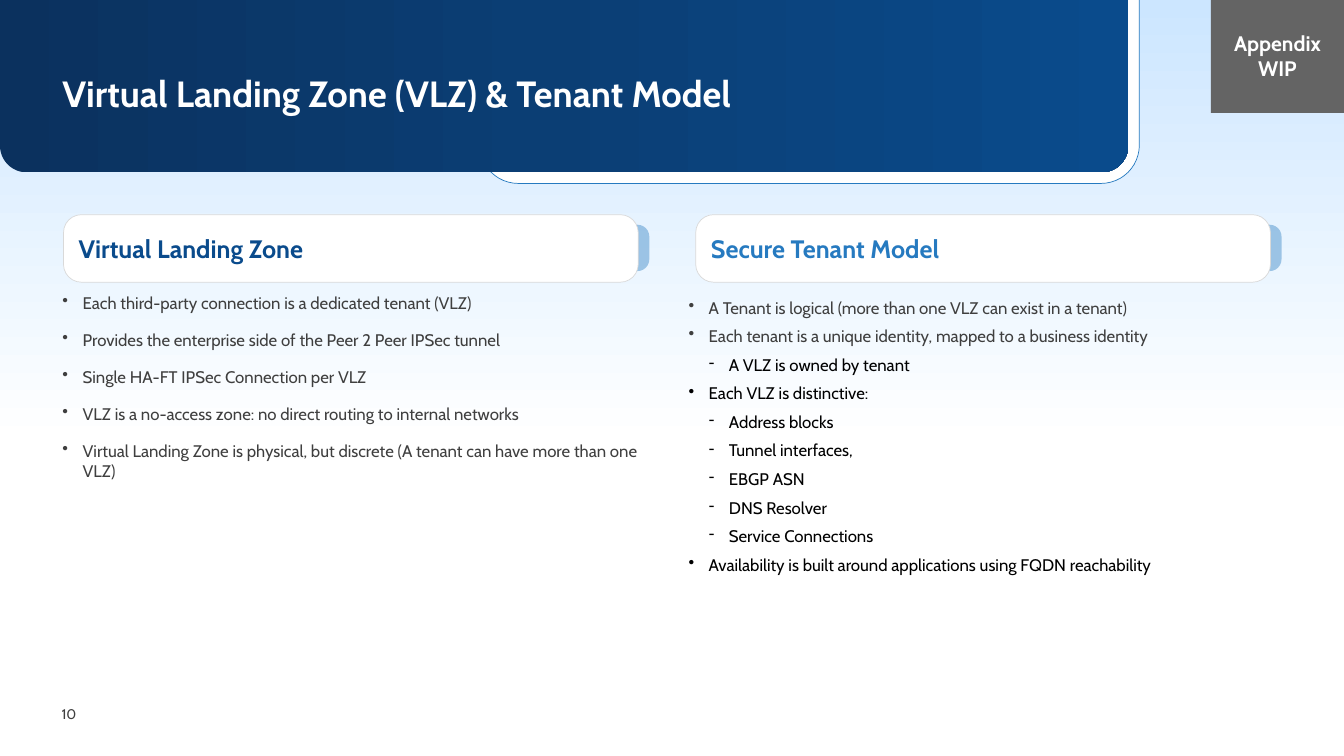
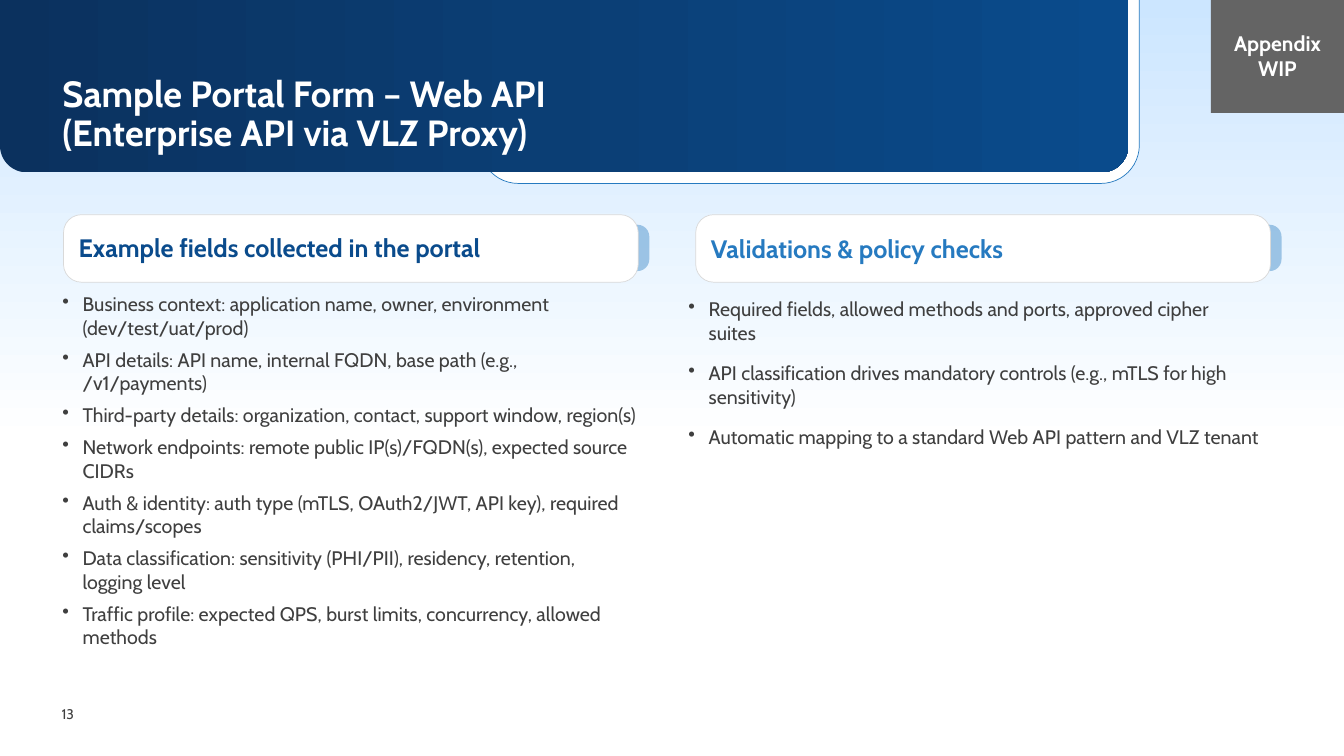
from copy import deepcopy
from dataclasses import dataclass

from lxml.etree import SubElement
from pptx import Presentation
from pptx.dml.color import RGBColor
from pptx.enum.shapes import MSO_SHAPE
from pptx.enum.text import MSO_ANCHOR, PP_ALIGN
from pptx.oxml.ns import qn
from pptx.util import Inches, Pt

SLIDE_WIDTH, SLIDE_HEIGHT = Inches(13.33), Inches(7.5)
FONT = "Cabin"
COLOURS = {
    "white": "FFFFFF", "black": "000000", "body": "3F3F3F", "sky": "CCE6FF",
    "navy": "0B315E", "marine": "0B3E74", "royal": "0A4B8C", "azure": "267AC0",
    "border": "D9D9D9", "badge": "646464",
}
MARGIN = 4.65
PANEL_LEFT, PANEL_PITCH, PANEL_WIDTH = 4.73, 47.04, 42.76
TAB_OFFSET = 35.85
BODY_TOP, BODY_HEIGHT = 38.67, 45.2
RIGHT_BODY_LEFT = 50.49
NO_INSETS, BODY_INSETS = (0, 0), (0.1, 0.05)


@dataclass
class Bullet:
    """One list entry with its nesting level and colour name."""
    text: str
    level: int = 0
    colour: str = "body"


def rgb(name):
    """Look up a named colour."""
    return RGBColor.from_string(COLOURS[name])


def area(left, top, width, height):
    """Turn percentages of the slide into lengths."""
    return (int(SLIDE_WIDTH * left / 100), int(SLIDE_HEIGHT * top / 100),
            int(SLIDE_WIDTH * width / 100), int(SLIDE_HEIGHT * height / 100))


def fill_gradient(shape, stops, angle):
    """Fill a shape with a linear gradient of (position, colour) stops."""
    fill = shape.fill
    fill.gradient()
    fill.gradient_angle = angle
    stop_list = shape._element.spPr.find(f".//{qn('a:gsLst')}")
    while len(stop_list) < len(stops):
        stop_list.append(deepcopy(stop_list[-1]))
    for gradient_stop, (position, colour) in zip(fill.gradient_stops, stops):
        gradient_stop.position = position
        gradient_stop.color.rgb = rgb(colour)


def add_block(slide, kind, bounds, fill=None, line=None, adjustments=(), opacity=None):
    """Add a flat preset shape, with an optional hairline and opacity."""
    shape = slide.shapes.add_shape(kind, *area(*bounds))
    shape.shadow.inherit = False
    for index, value in enumerate(adjustments):
        shape.adjustments[index] = value
    if fill:
        shape.fill.solid()
        shape.fill.fore_color.rgb = rgb(fill)
    if opacity:
        colour_element = shape._element.spPr.find(f".//{qn('a:srgbClr')}")
        SubElement(colour_element, qn("a:alpha"), val=str(opacity * 1000))
    if line:
        shape.line.color.rgb = rgb(line)
        shape.line.width = Pt(0.5)
    else:
        shape.line.fill.background()
    return shape


def set_frame(shape, insets, anchor=MSO_ANCHOR.TOP):
    """Wrap the text of a shape within horizontal and vertical insets."""
    frame = shape.text_frame
    frame.word_wrap = True
    frame.vertical_anchor = anchor
    frame.margin_left = frame.margin_right = Inches(insets[0])
    frame.margin_top = frame.margin_bottom = Inches(insets[1])
    return frame


def style(paragraph, size, colour, bold=False, alignment=PP_ALIGN.LEFT):
    """Set the font and alignment of a paragraph."""
    paragraph.alignment = alignment
    font = paragraph.font
    font.name, font.size, font.bold = FONT, Pt(size), bold
    font.color.rgb = rgb(colour)


def add_text(slide, bounds, text, size, colour, insets=NO_INSETS,
             anchor=MSO_ANCHOR.TOP, bold=False):
    """Add a one-paragraph text box and return its paragraph."""
    frame = set_frame(slide.shapes.add_textbox(*area(*bounds)), insets, anchor)
    paragraph = frame.paragraphs[0]
    paragraph.text = text
    style(paragraph, size, colour, bold)
    return paragraph


def add_bullets(slide, left, width, bullets, size, insets, space_after=0):
    """Add a bulleted list below a panel heading."""
    textbox = slide.shapes.add_textbox(*area(left, BODY_TOP, width, BODY_HEIGHT))
    frame = set_frame(textbox, insets)
    for index, bullet in enumerate(bullets):
        paragraph = frame.add_paragraph() if index else frame.paragraphs[0]
        paragraph.text = bullet.text
        properties = paragraph._p.get_or_add_pPr()
        properties.set("marL", str(Inches(0.2 * (bullet.level + 1))))
        properties.set("indent", str(Inches(-0.2)))
        SubElement(properties, qn("a:buChar"), char="•‐"[bullet.level])
        paragraph.space_before = Pt(6 if index else 0)
        paragraph.space_after = Pt(space_after)
        style(paragraph, size, bullet.colour)


def add_panel(slide, column, heading, colour, line_spacing=None):
    """Add a white heading panel with a tab showing behind its right end."""
    left = PANEL_LEFT + column * PANEL_PITCH
    add_block(slide, MSO_SHAPE.ROUNDED_RECTANGLE, (left + TAB_OFFSET, 29.73, 7.73, 6.13),
              "azure", adjustments=[0.254], opacity=40)
    panel = add_block(slide, MSO_SHAPE.ROUNDED_RECTANGLE, (left, 28.4, PANEL_WIDTH, 8.93),
                      "white", "border", [0.265])
    paragraph = set_frame(panel, (0.1, 0.2), MSO_ANCHOR.MIDDLE).paragraphs[0]
    paragraph.text = heading
    paragraph.line_spacing = line_spacing
    paragraph.space_after = Pt(6)
    style(paragraph, 18, colour, bold=True)


def add_badge(slide):
    """Add the grey status badge in the top right corner."""
    badge = add_block(slide, MSO_SHAPE.RECTANGLE, (90.1, -0.27, 9.9, 15.2), "badge")
    paragraph = set_frame(badge, BODY_INSETS, MSO_ANCHOR.MIDDLE).paragraphs[0]
    paragraph.text = "Appendix WIP"
    style(paragraph, 15, "white", bold=True, alignment=PP_ALIGN.CENTER)


def add_base_slide(presentation, title, number):
    """Add a slide with the shared backdrop, title banner, badge and number."""
    slide = presentation.slides.add_slide(presentation.slide_layouts[6])
    backdrop = add_block(slide, MSO_SHAPE.RECTANGLE, (0, 0, 100, 58.67))
    fill_gradient(backdrop, [(0, "sky"), (1, "white")], 270)
    add_text(slide, (4.58, 92.8, 2.93, 3.33), str(number), 10, "body",
             (0, 0.05), MSO_ANCHOR.MIDDLE)
    add_block(slide, MSO_SHAPE.ROUND_2_SAME_RECTANGLE, (35.71, -0.53, 49.06, 24.8),
              "white", "azure", [0, 0.204])
    banner = add_block(slide, MSO_SHAPE.ROUND_2_SAME_RECTANGLE, (0, 0, 83.95, 22.8),
                       adjustments=[0, 0.155])
    fill_gradient(banner, [(0, "navy"), (0.48, "marine"), (1, "royal")], 0)
    heading = add_text(slide, (MARGIN, 10, 79.3, 10.4), title, 26, "white", bold=True)
    heading.line_spacing = 0.9
    add_badge(slide)
    return slide


def add_tenant_slide(presentation):
    """Add the landing zone and tenant model slide."""
    slide = add_base_slide(presentation, "Virtual Landing Zone (VLZ) & Tenant Model", 10)
    add_panel(slide, 0, "Virtual Landing Zone", "royal")
    add_panel(slide, 1, "Secure Tenant Model", "azure")
    add_bullets(slide, MARGIN, 44.86, [
        Bullet("Each third-party connection is a dedicated tenant (VLZ)"),
        Bullet("Provides the enterprise side of the Peer 2 Peer IPSec tunnel"),
        Bullet("Single HA-FT IPSec Connection per VLZ"),
        Bullet("VLZ is a no-access zone: no direct routing to internal networks"),
        Bullet("Virtual Landing Zone is physical, but discrete "
               "(A tenant can have more than one VLZ)"),
    ], 12, NO_INSETS, space_after=6)
    add_bullets(slide, RIGHT_BODY_LEFT, 44.86, [
        Bullet("A Tenant is logical (more than one VLZ can exist in a tenant)"),
        Bullet("Each tenant is a unique identity, mapped to a business identity"),
        Bullet("A VLZ is owned by tenant", 1, "black"),
        Bullet("Each VLZ is distinctive:", 0, "black"),
        Bullet("Address blocks", 1, "black"),
        Bullet("Tunnel interfaces,", 1, "black"),
        Bullet("EBGP ASN", 1, "black"),
        Bullet("DNS Resolver", 1, "black"),
        Bullet("Service Connections", 1, "black"),
        Bullet("Availability is built around applications using FQDN reachability",
               0, "black"),
    ], 12, BODY_INSETS)


def add_portal_slide(presentation):
    """Add the sample portal form slide."""
    slide = add_base_slide(
        presentation, "Sample Portal Form – Web API \v(Enterprise API via VLZ Proxy)", 13)
    add_panel(slide, 0, "Example fields collected in the portal", "royal", Pt(20))
    add_panel(slide, 1, "Validations & policy checks", "azure")
    add_bullets(slide, MARGIN, PANEL_WIDTH, [
        Bullet("Business context: application name, owner, environment (dev/test/uat/prod)"),
        Bullet("API details: API name, internal FQDN, base path (e.g., /v1/payments)"),
        Bullet("Third-party details: organization, contact, support window, region(s)"),
        Bullet("Network endpoints: remote public IP(s)/FQDN(s), expected source CIDRs"),
        Bullet("Auth & identity: auth type (mTLS, OAuth2/JWT, API key), "
               "required claims/scopes"),
        Bullet("Data classification: sensitivity (PHI/PII), residency, retention, "
               "logging level"),
        Bullet("Traffic profile: expected QPS, burst limits, concurrency, allowed methods"),
    ], 14, NO_INSETS)
    add_bullets(slide, RIGHT_BODY_LEFT, 43.96, [
        Bullet("Required fields, allowed methods and ports, approved cipher suites"),
        Bullet("API classification drives mandatory controls "
               "(e.g., mTLS for high sensitivity)"),
        Bullet("Automatic mapping to a standard Web API pattern and VLZ tenant"),
    ], 14, BODY_INSETS, space_after=6)


def main():
    """Build and save the presentation."""
    presentation = Presentation()
    presentation.slide_width = SLIDE_WIDTH
    presentation.slide_height = SLIDE_HEIGHT
    add_tenant_slide(presentation)
    add_portal_slide(presentation)
    presentation.save("out.pptx")


if __name__ == "__main__":
    main()
